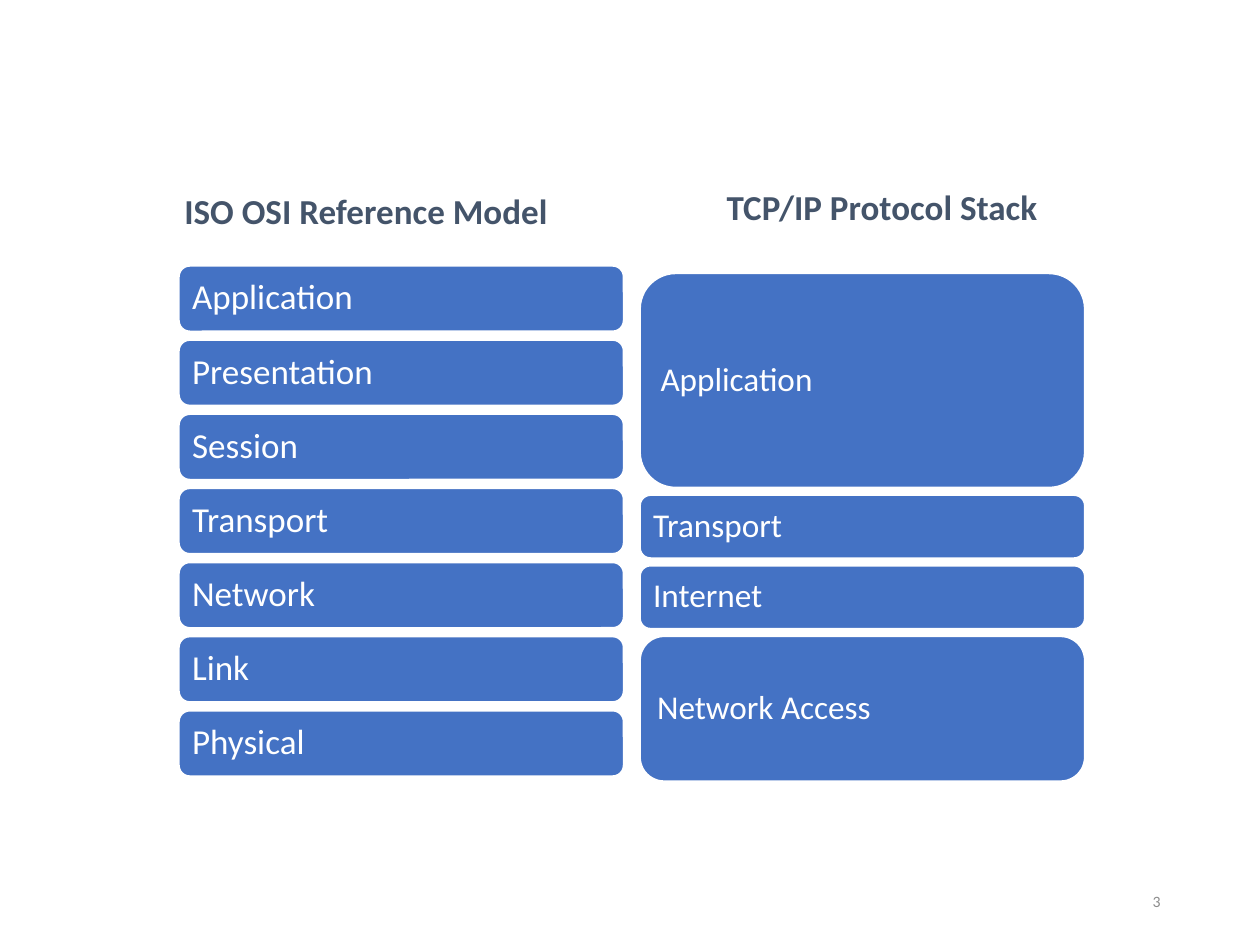
from dataclasses import dataclass

from pptx import Presentation
from pptx import util as u
from pptx.dml.color import RGBColor
from pptx.enum import shapes, text

# The slide is a grid of 100 columns by 75 rows
COLUMNS, ROWS = 100, 75
CELL = u.Inches(0.1)
FONT = "Calibri"
COLORS = {"layer": "4472C4", "white": "FFFFFF", "heading": "44546A", "number": "8C8C8C"}


@dataclass
class Area:
    left: float
    top: float
    width: float
    height: float

    def lengths(self) -> list[int]:
        return [round(n * CELL) for n in (self.left, self.top, self.width, self.height)]


@dataclass
class Label:
    words: str
    size: float
    color: str
    bold: bool = False
    align: text.PP_ALIGN = text.PP_ALIGN.LEFT
    anchor: text.MSO_ANCHOR = text.MSO_ANCHOR.MIDDLE
    spacing: float = 1.0


@dataclass
class Stack:
    area: Area
    size: float
    layers: list[tuple[str, float]]  # name and height in rows


def color(name: str) -> RGBColor:
    return RGBColor.from_string(COLORS[name])


def write(box, label: Label) -> None:
    frame = box.text_frame
    frame.word_wrap = True
    frame.vertical_anchor = label.anchor
    para = frame.paragraphs[0]
    para.alignment = label.align
    para.line_spacing = label.spacing
    span = para.add_run()
    span.text = label.words
    span.font.name = FONT
    span.font.size = u.Pt(label.size)
    span.font.bold = label.bold
    span.font.color.rgb = color(label.color)


def add_label(page, area: Area, label: Label) -> None:
    write(page.shapes.add_textbox(*area.lengths()), label)


def add_layer(page, area: Area, label: Label) -> None:
    box = page.shapes.add_shape(shapes.MSO_SHAPE.ROUNDED_RECTANGLE, *area.lengths())
    box.shadow.inherit = False
    box.fill.solid()
    box.fill.fore_color.rgb = color("layer")
    box.line.color.rgb = color("white")
    box.line.width = u.Pt(1)
    frame = box.text_frame
    frame.margin_left = frame.margin_right = u.Inches(0.08)
    frame.margin_top = frame.margin_bottom = u.Inches(0.08)
    write(box, label)


def add_stack(page, stack: Stack) -> None:
    """Draw the layers downwards, sharing the spare height as equal gaps."""
    area = stack.area
    used = sum(height for _, height in stack.layers)
    gap = (area.height - used) / (len(stack.layers) - 1)
    top = area.top
    for name, height in stack.layers:
        label = Label(name, stack.size, "white", spacing=0.9)
        add_layer(page, Area(area.left, top, area.width, height), label)
        top += height + gap


OSI_LAYERS = ["Application", "Presentation", "Session", "Transport",
              "Network", "Link", "Physical"]
STACKS = [
    Stack(Area(14.2, 21.1, 35.3, 40.5), 20, [(name, 5.2) for name in OSI_LAYERS]),
    Stack(Area(50.8, 21.7, 35.3, 40.3), 19,
          [("Application", 17), ("Transport", 5), ("Internet", 5), ("Network Access", 11.5)]),
]
HEADINGS = [
    ("ISO OSI Reference Model", Area(13, 9.9, 32.1, 9)),
    ("TCP/IP Protocol Stack", Area(53.9, 13.1, 32.2, 5.5)),
]


def main() -> None:
    deck = Presentation()
    deck.slide_width, deck.slide_height = COLUMNS * CELL, ROWS * CELL
    page = deck.slides.add_slide(deck.slide_layouts[6])

    # Headings
    for words, area in HEADINGS:
        add_label(page, area, Label(words, 20, "heading", True, text.PP_ALIGN.CENTER,
                                    text.MSO_ANCHOR.BOTTOM, 0.9))

    # Protocol layers
    for stack in STACKS:
        add_stack(page, stack)

    # Slide number
    add_label(page, Area(70.6, 69.5, 22.5, 4),
              Label("3", 9, "number", align=text.PP_ALIGN.RIGHT))

    deck.save("out.pptx")


if __name__ == "__main__":
    main()
